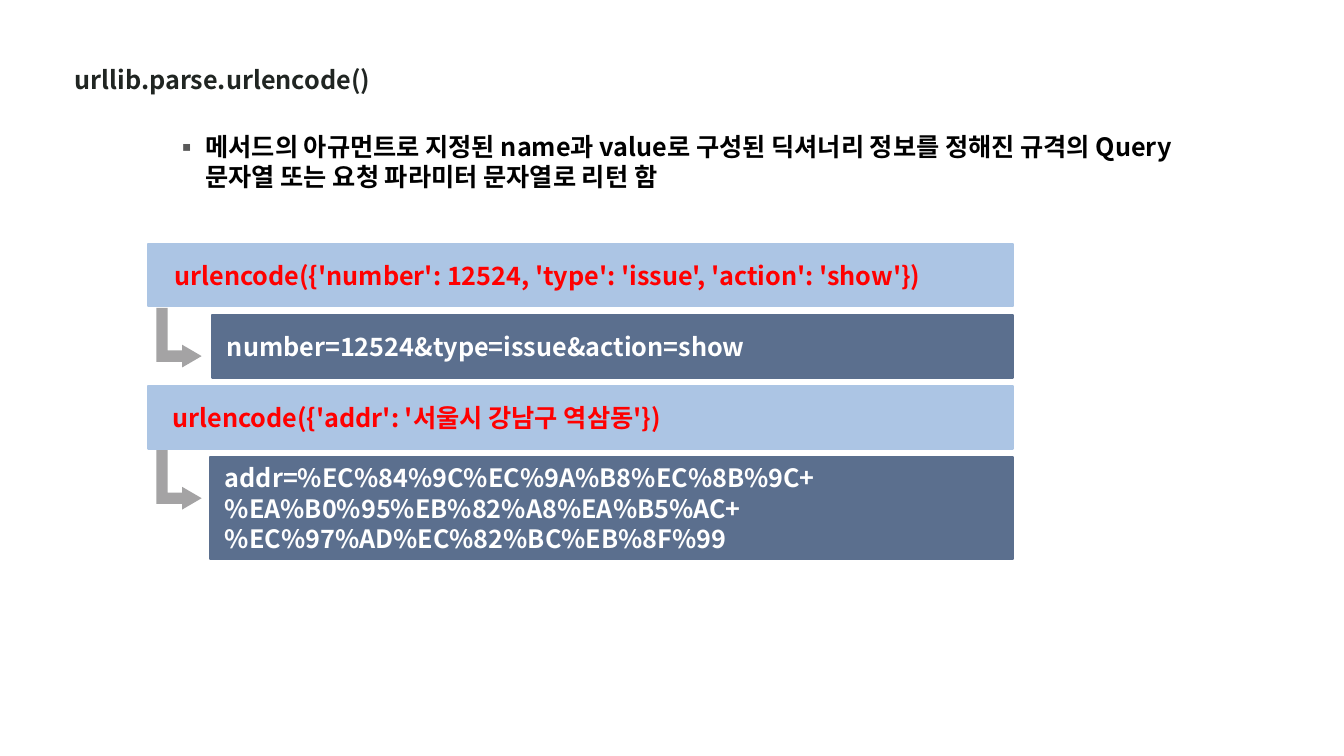
import dataclasses
import pptx
import pptx.util
import pptx.dml.color
import pptx.enum.shapes
import pptx.enum.text
import pptx.oxml.ns
import lxml.etree

SHAPE = pptx.enum.shapes.MSO_SHAPE
ANCHOR = pptx.enum.text.MSO_ANCHOR
ALIGN = pptx.enum.text.PP_ALIGN
Inches = pptx.util.Inches


@dataclasses.dataclass(frozen=True)
class Theme:
    font: str = "Noto Sans CJK KR"
    size: int = 18
    title: str = "202522"
    body: str = "000000"
    mark: str = "595959"
    call: str = "ACC5E4"
    code: str = "FF0000"
    reply: str = "5B6F8E"
    light: str = "FFFFFF"
    arrow: str = "A4A3A4"


@dataclasses.dataclass(frozen=True)
class Grid:
    left: float = 1.47
    right: float = 10.05
    top: float = 2.42
    pitch: float = 0.705
    bar: float = 0.62

    def row(self, index):
        return self.top + index * self.pitch


THEME = Theme()
GRID = Grid()


def rgb(code):
    return pptx.dml.color.RGBColor.from_string(code)


def add(parent, tag, **attrs):
    return lxml.etree.SubElement(parent, pptx.oxml.ns.qn(tag), attrs)


def place(shape, left, top, width, height):
    shape.left, shape.top = Inches(left), Inches(top)
    shape.width, shape.height = Inches(width), Inches(height)


def write(shape, text, color, left=0.1, right=0.1, anchor=ANCHOR.TOP, bullet=None):
    """Fill a shape with one bold paragraph; insets are in inches."""
    frame = shape.text_frame
    frame.word_wrap = True
    frame.auto_size = pptx.enum.text.MSO_AUTO_SIZE.NONE
    frame.vertical_anchor = anchor
    frame.margin_left, frame.margin_right = Inches(left), Inches(right)
    frame.margin_top = frame.margin_bottom = Inches(0.05)
    para = frame.paragraphs[0]
    para.alignment = ALIGN.LEFT
    para.space_before = pptx.util.Pt(0)
    if bullet:
        props = para._p.get_or_add_pPr()
        hang = Inches(0.31)
        props.set("marL", str(hang))
        props.set("indent", str(-hang))
        add(add(props, "a:buClr"), "a:srgbClr", val=THEME.mark)
        add(props, "a:buFont", typeface=THEME.font)
        add(props, "a:buChar", char=bullet)
    run = para.add_run()
    run.text = text
    run.font.name, run.font.size = THEME.font, pptx.util.Pt(THEME.size)
    run.font.bold = True
    run.font.color.rgb = rgb(color)
    add(run._r.get_or_add_rPr(), "a:ea", typeface=THEME.font)


def block(slide, kind, box, fill):
    shape = slide.shapes.add_shape(kind, *map(Inches, box))
    shape.shadow.inherit = False
    shape.fill.solid()
    shape.fill.fore_color.rgb = rgb(fill)
    shape.line.fill.background()
    return shape


def bar(slide, box, fill, text, color, inset):
    shape = block(slide, SHAPE.RECTANGLE, box, fill)
    shape.line.color.rgb = rgb(fill)
    shape.line.width = pptx.util.Pt(1.5)
    write(shape, text, color, left=inset, right=0.16, anchor=ANCHOR.MIDDLE)


def arrow(slide, top):
    shape = block(slide, SHAPE.BENT_UP_ARROW, (1.48, top, 0.59, 0.45), THEME.arrow)
    shape.rotation = 90
    shape.adjustments[2] = 0.43


def pair(slide, row, call, inset, reply, left, height):
    """Draw a call with the reply it returns one row below."""
    top, below = GRID.row(row), GRID.row(row + 1)
    bar(slide, (GRID.left, top, GRID.right - GRID.left, GRID.bar),
        THEME.call, call, THEME.code, inset)
    bar(slide, (left, below, GRID.right - left, height),
        THEME.reply, reply, THEME.light, 0.15)
    arrow(slide, below)


def main():
    deck = pptx.Presentation()
    deck.slide_width, deck.slide_height = Inches(13.33), Inches(7.5)
    slide = deck.slides.add_slide(deck.slide_layouts[5])

    title = slide.shapes.title
    place(title, 0.64, 0.59, 7.16, 0.4)
    write(title, "urllib.parse.urlencode()", THEME.title)

    note = slide.shapes.add_textbox(0, 0, 0, 0)
    place(note, 1.63, 1.25, 10.76, 0.71)
    write(note, "메서드의 아규먼트로 지정된 name과 value로 구성된 딕셔너리 정보를 정해진 규격의 "
          "Query 문자열 또는 요청 파라미터 문자열로 리턴 함", THEME.body, bullet="▪")

    pair(slide, 0, "urlencode({'number': 12524, 'type': 'issue', 'action': 'show'})", 0.26,
         "number=12524&type=issue&action=show", 2.1, GRID.bar)
    pair(slide, 2, "urlencode({'addr': '서울시 강남구 역삼동'})", 0.24,
         "addr=%EC%84%9C%EC%9A%B8%EC%8B%9C+%EA%B0%95%EB%82%A8%EA%B5%AC+"
         "%EC%97%AD%EC%82%BC%EB%8F%99", 2.08, 1.01)
    deck.save("out.pptx")


if __name__ == "__main__":
    main()
